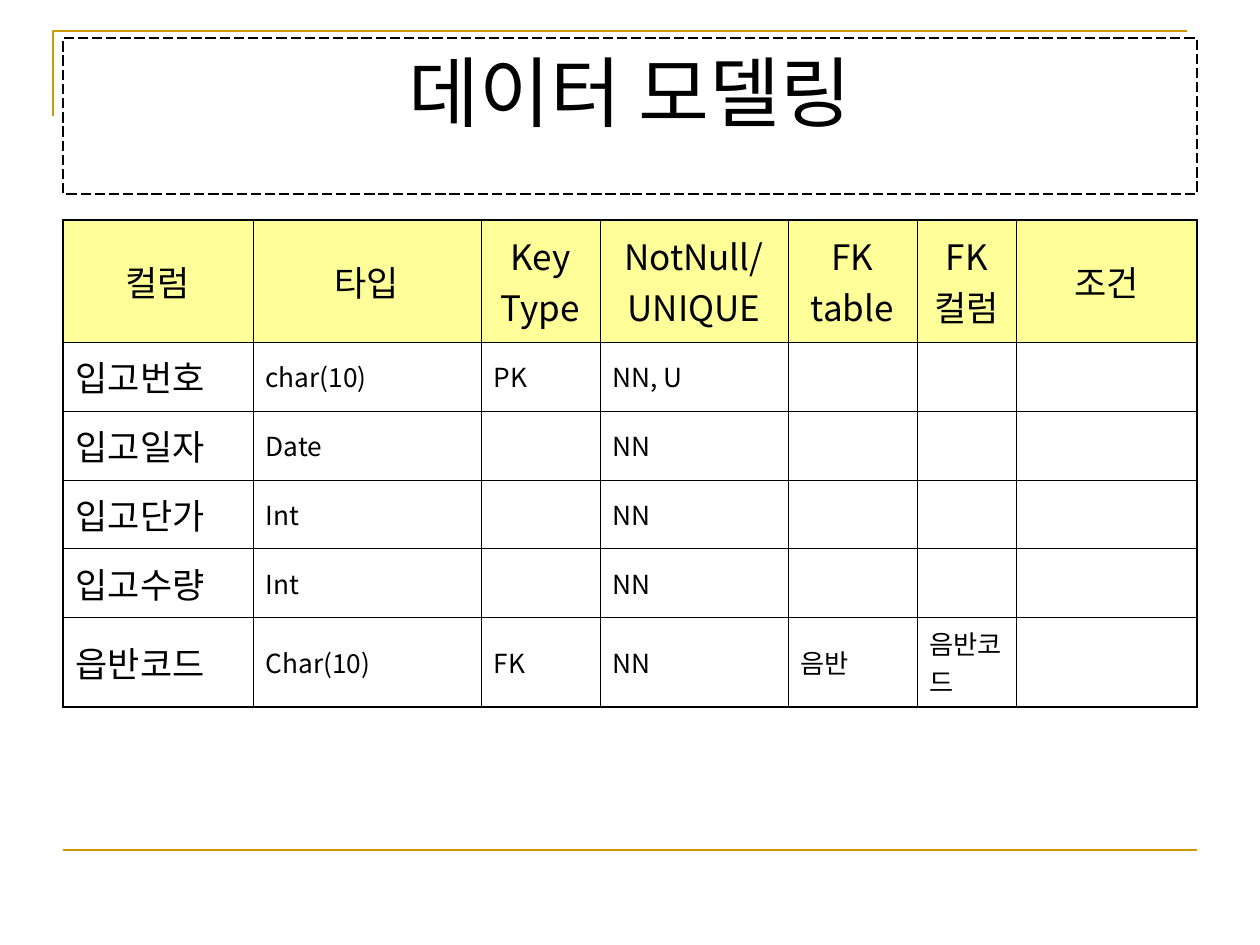
from lxml.etree import SubElement
from pptx import Presentation
from pptx.dml.color import RGBColor
from pptx.enum.dml import MSO_LINE
from pptx.enum.shapes import MSO_CONNECTOR, MSO_SHAPE
from pptx.enum.text import MSO_ANCHOR, PP_ALIGN
from pptx.oxml.ns import qn
from pptx.util import Pt

TITLE = "데이터 모델링"
HEADERS = ["컬럼", "타입", "Key Type", "NotNull/ UNIQUE", "FK table", "FK컬럼", "조건"]
ROWS = [
    ["입고번호", "char(10)", "PK", "NN, U", "", "", ""],
    ["입고일자", "Date", "", "NN", "", "", ""],
    ["입고단가", "Int", "", "NN", "", "", ""],
    ["입고수량", "Int", "", "NN", "", "", ""],
    ["읍반코드", "Char(10)", "FK", "NN", "음반", "음반코드", ""],
]
COLUMN_WIDTHS = [190, 228, 119, 188, 129, 100, 180]
ROW_HEIGHTS = [122, 69, 69, 69, 69, 89]
LEFT, RIGHT, TABLE_TOP, RULE_Y = 63, 1197, 220, 850
TITLE_BOX = (LEFT, 38, RIGHT - LEFT, 156)
CORNER = [(53, 116), (53, 31), (1187, 31)]
COLORS = {"ink": "000000", "gold": "CC9900", "header": "FFFF99"}
FONT = "Noto Sans CJK KR"
FORMATS = {
    "title": {"size": 44, "space_before": 0, "alignment": PP_ALIGN.CENTER},
    "header": {"size": 20, "space_before": 5, "alignment": PP_ALIGN.CENTER},
    "name": {"size": 20, "space_before": 5, "alignment": PP_ALIGN.LEFT},
    "detail": {"size": 15, "space_before": 3.7, "alignment": PP_ALIGN.LEFT},
}
OUTER, INNER = 1.08, 0.45
SCALE = 914400 / 126


def px(value):
    return round(value * SCALE)


def color(name):
    return RGBColor.from_string(COLORS[name])


def write(text_frame, text, style):
    values = FORMATS[style]
    paragraph = text_frame.paragraphs[0]
    paragraph.alignment = values["alignment"]
    paragraph.space_before = Pt(values["space_before"])
    run = paragraph.add_run()
    run.text = text
    for name, value in {"name": FONT, "size": Pt(values["size"])}.items():
        setattr(run.font, name, value)
    run.font.color.rgb = color("ink")
    SubElement(run.font._element, qn("a:ea"), typeface=FONT)


def set_line(shape, name, width):
    shape.line.color.rgb = color(name)
    shape.line.width = Pt(width)


def set_borders(cell, widths):
    properties = cell._tc.get_or_add_tcPr()
    for index, (side, width) in enumerate(widths.items()):
        border = SubElement(properties, qn(f"a:{side}"), w=str(Pt(width)))
        properties.remove(border)
        properties.insert(index, border)
        fill = SubElement(border, qn("a:solidFill"))
        SubElement(fill, qn("a:srgbClr"), val=COLORS["ink"])


def add_rules(shapes):
    builder = shapes.build_freeform(*CORNER[0], scale=SCALE)
    builder.add_line_segments(CORNER[1:], close=False)
    corner = builder.convert_to_shape()
    corner.fill.background()
    corner.shadow.inherit = False
    rule = shapes.add_connector(
        MSO_CONNECTOR.STRAIGHT, px(LEFT), px(RULE_Y), px(RIGHT), px(RULE_Y)
    )
    SubElement(rule._element.spPr, qn("a:effectLst"))
    for shape in (corner, rule):
        set_line(shape, "gold", 1.5)


def add_title(shapes):
    title = shapes.add_shape(MSO_SHAPE.RECTANGLE, *map(px, TITLE_BOX))
    title.shadow.inherit = False
    title.fill.background()
    set_line(title, "ink", 0.75)
    title.line.dash_style = MSO_LINE.LONG_DASH
    title.text_frame.word_wrap = True
    title.text_frame.vertical_anchor = MSO_ANCHOR.TOP
    write(title.text_frame, TITLE, "title")


def add_column_table(shapes):
    content = [HEADERS] + ROWS
    last_row, last_column = len(content) - 1, len(HEADERS) - 1
    table = shapes.add_table(
        len(content), len(HEADERS), px(LEFT), px(TABLE_TOP),
        px(sum(COLUMN_WIDTHS)), px(sum(ROW_HEIGHTS)),
    ).table
    for column, width in zip(table.columns, COLUMN_WIDTHS):
        column.width = px(width)
    for row, height in zip(table.rows, ROW_HEIGHTS):
        row.height = px(height)
    for row, texts in enumerate(content):
        for column, text in enumerate(texts):
            cell = table.cell(row, column)
            cell.vertical_anchor = MSO_ANCHOR.MIDDLE
            if row == 0:
                cell.fill.solid()
                cell.fill.fore_color.rgb = color("header")
            else:
                cell.fill.background()
            if text:
                style = "header" if row == 0 else "name" if column == 0 else "detail"
                write(cell.text_frame, text, style)
            set_borders(cell, {
                "lnL": OUTER if column == 0 else INNER,
                "lnR": OUTER if column == last_column else INNER,
                "lnT": OUTER if row == 0 else INNER,
                "lnB": OUTER if row == last_row else INNER,
            })


def main():
    presentation = Presentation()
    presentation.slide_width = px(1260)
    presentation.slide_height = px(945)
    slide = presentation.slides.add_slide(presentation.slide_layouts[6])
    add_rules(slide.shapes)
    add_title(slide.shapes)
    add_column_table(slide.shapes)
    presentation.save("out.pptx")


if __name__ == "__main__":
    main()
